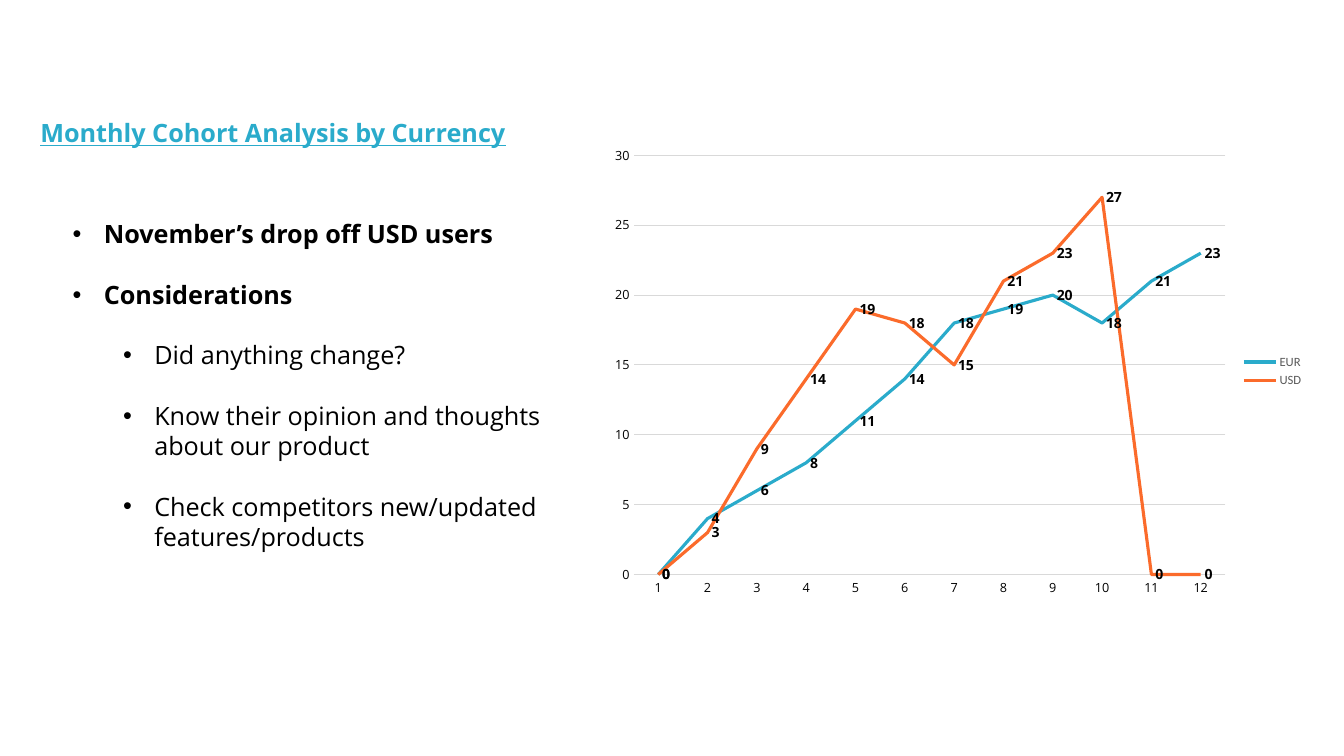
from lxml import etree
from pptx import Presentation
from pptx.chart.data import CategoryChartData
from pptx.dml.color import RGBColor
from pptx.enum.chart import XL_CHART_TYPE, XL_LEGEND_POSITION, XL_TICK_MARK
from pptx.enum.text import MSO_ANCHOR, MSO_AUTO_SIZE, PP_ALIGN
from pptx.oxml.ns import qn
from pptx.util import Inches, Pt

LINE, RIGHT, NO_TICK = XL_CHART_TYPE.LINE, XL_LEGEND_POSITION.RIGHT, XL_TICK_MARK.NONE
BOTTOM, TOP, LEFT = MSO_ANCHOR.BOTTOM, MSO_ANCHOR.TOP, PP_ALIGN.LEFT
NO_FIT, GROW = MSO_AUTO_SIZE.NONE, MSO_AUTO_SIZE.SHAPE_TO_FIT_TEXT

COLORS = {"text": "000000", "grid": "D9D9D9", "legend": "595959",
          "EUR": "2AABCB", "USD": "FB6B2B"}
HEADING = "Monthly Cohort Analysis by Currency"
POINTS = [
    (0, "November’s drop off USD users"),
    (0, "Considerations"),
    (1, "Did anything change?"),
    (1, "Know their opinion and thoughts about our product"),
    (1, "Check competitors new/updated features/products"),
]
MONTHS = [str(month) for month in range(1, 13)]
USERS = {
    "EUR": [0, 4, 6, 8, 11, 14, 18, 19, 20, 18, 21, 23],
    "USD": [0, 3, 9, 14, 19, 18, 15, 21, 23, 27, 0, 0],
}
PLACES = {"heading": (0.3, 1.07, 4.98, 0.45), "points": (0.62, 2.12, 5.08, 3.74),
          "cohorts": (5.96, 1.36, 7.07, 4.65)}
HANG, LEVEL_INDENT = 0.31, 0.5


def apply(target, **values):
    for key, value in values.items():
        setattr(target, key, value)


def style(font, color, size, name="Open Sans", **values):
    apply(font, name=name, size=Pt(size), **values)
    font.color.rgb = RGBColor.from_string(COLORS[color])


def rule(line, color, width):
    line.color.rgb = RGBColor.from_string(COLORS[color])
    line.width = Pt(width)


def place(part, spot):
    apply(part, **dict(zip(("left", "top", "width", "height"), map(Inches, PLACES[spot]))))


deck = Presentation()
apply(deck, slide_width=Inches(13.33), slide_height=Inches(7.5))
slide = deck.slides.add_slide(deck.slide_layouts[1])

heading, points = slide.placeholders
place(heading, "heading")
place(points, "points")
apply(heading.text_frame, text=HEADING, vertical_anchor=BOTTOM, word_wrap=True, auto_size=NO_FIT)
apply(heading.text_frame.paragraphs[0], alignment=LEFT, line_spacing=0.9)
style(heading.text_frame.paragraphs[0].runs[0].font, "EUR", 18, bold=True, underline=True)

apply(points.text_frame, text="\n".join(text for _, text in POINTS),
      vertical_anchor=TOP, word_wrap=True, auto_size=GROW)
for paragraph, (level, _) in zip(points.text_frame.paragraphs, POINTS):
    apply(paragraph, level=level, space_before=Pt(0), space_after=Pt(21.6))
    style(paragraph.runs[0].font, "text", 18, bold=level == 0)
    layout = paragraph._p.get_or_add_pPr()
    layout.set("marL", str(Inches(HANG + LEVEL_INDENT * level)))
    layout.set("indent", str(-Inches(HANG)))
    etree.SubElement(layout, qn("a:buFont")).set("typeface", "Arial")
    etree.SubElement(layout, qn("a:buChar")).set("char", "•")

cohort_data = CategoryChartData()
cohort_data.categories = MONTHS
for currency, counts in USERS.items():
    cohort_data.add_series(currency, counts)
cohorts = slide.shapes.add_chart(LINE, *map(Inches, PLACES["cohorts"]), cohort_data).chart
apply(cohorts, has_title=False, has_legend=True)
style(cohorts.font, "text", 10, "Calibri")
apply(cohorts.legend, position=RIGHT, include_in_layout=False)
style(cohorts.legend.font, "legend", 9, "Calibri")

months, users = cohorts.category_axis, cohorts.value_axis
for axis in (months, users):
    apply(axis, major_tick_mark=NO_TICK, minor_tick_mark=NO_TICK)
    style(axis.tick_labels.font, "text", 9)
rule(months.format.line, "grid", 0.75)
apply(users, minimum_scale=0, maximum_scale=30, major_unit=5, has_major_gridlines=True)
users.format.line.fill.background()
rule(users.major_gridlines.format.line, "grid", 0.75)

cohorts.plots[0].vary_by_categories = False
for currency in cohorts.plots[0].series:
    currency.smooth = False
    rule(currency.format.line, currency.name, 2.25)
    currency.data_labels.show_value = True
    style(currency.data_labels.font, "text", 10, bold=True)

deck.save("out.pptx")
